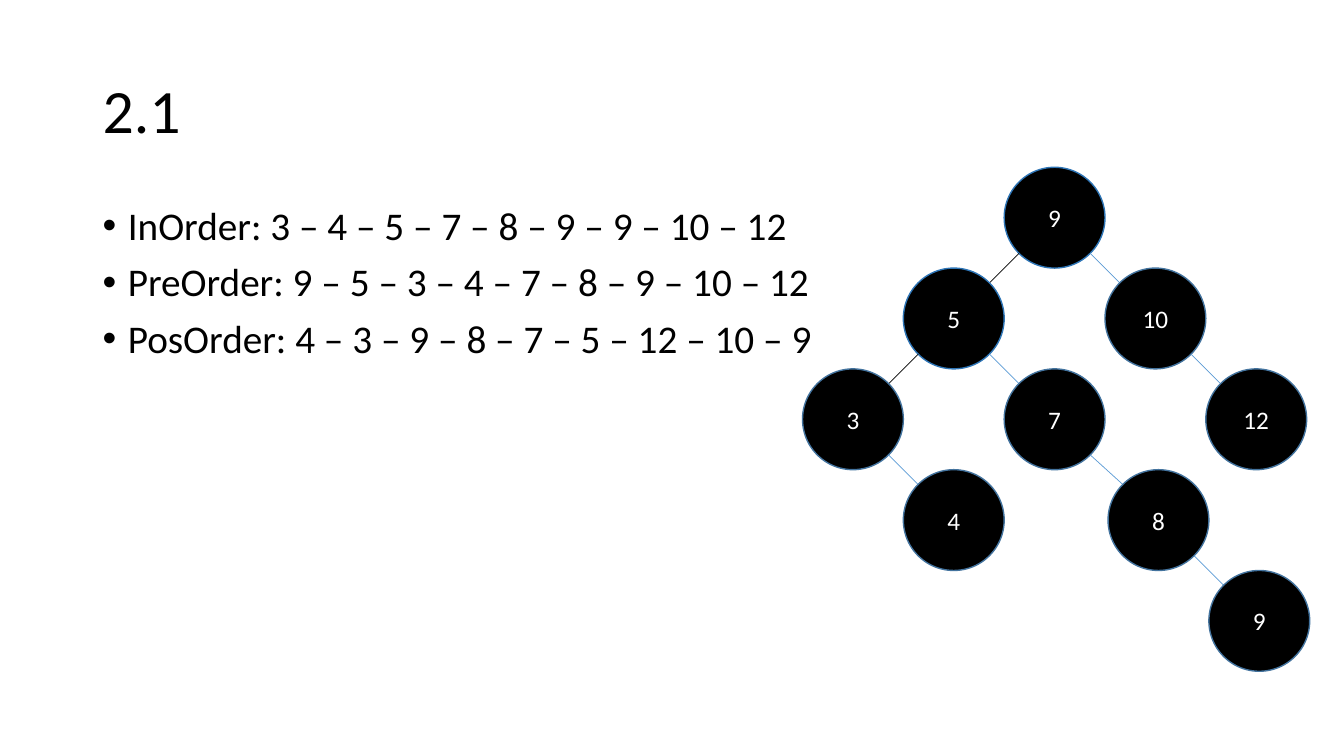
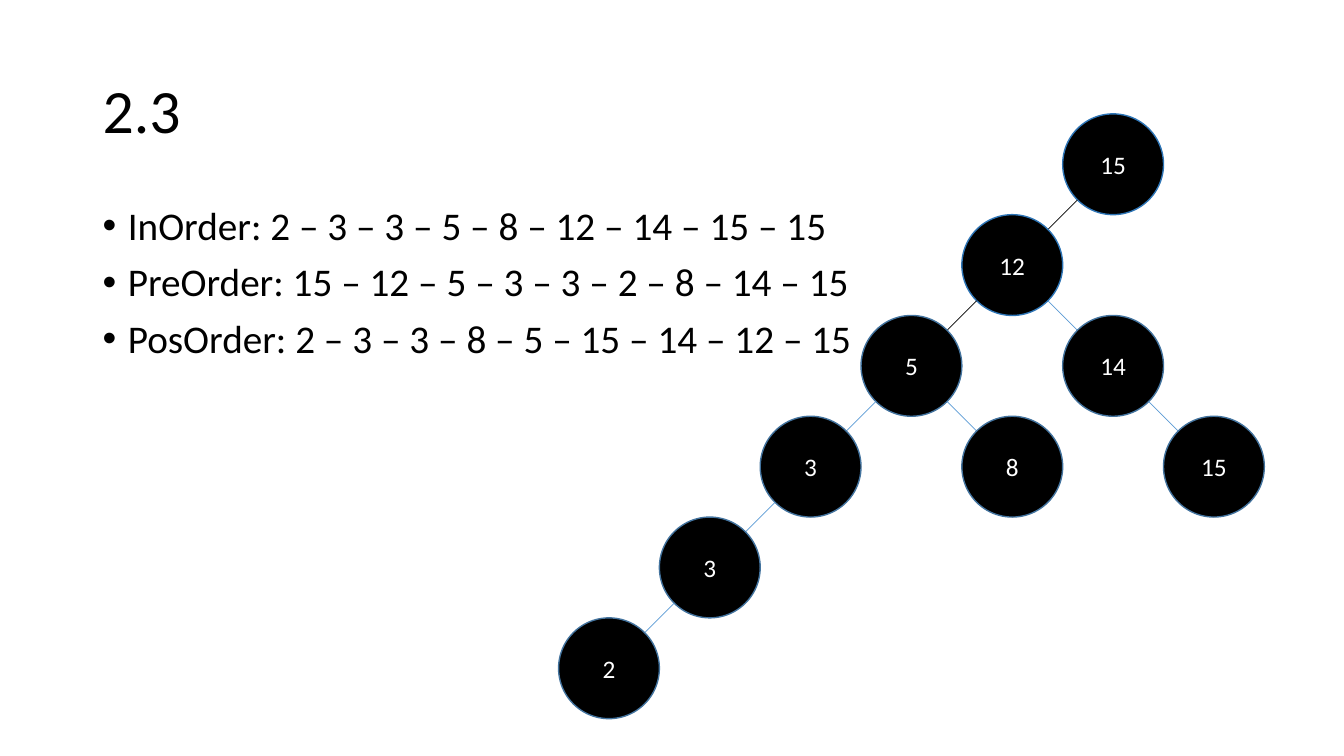
import dataclasses
import math
import typing

import pptx
import pptx.dml.color
import pptx.enum.shapes
import pptx.enum.text
import pptx.oxml.ns
import pptx.util
from lxml import etree

Inches = pptx.util.Inches
Pt = pptx.util.Pt
ALIGN = pptx.enum.text.PP_ALIGN
ANCHOR = pptx.enum.text.MSO_ANCHOR

COLORS = {
    "ink": "000000",
    "node_text": "FFFFFF",
    "spine_outline": "2E75B6",
    "outline": "43739E",
    "edge": "5B9BD5",
}
FONT = "Calibri"
TITLE_BOX = (0.92, 0.4, 11.5, 1.45)
BODY_BOX = (0.92, 2, 11.5, 4.76)
DIAMETER = 1
STEP = 1
SPINE_DEPTH = 2


@dataclasses.dataclass
class Node:
    """A tree node; shift moves its subtree to the right, in inches."""
    value: int
    left: typing.Optional["Node"] = None
    right: typing.Optional["Node"] = None
    shift: float = 0


def in_order(node):
    """List the values left, root, right."""
    return in_order(node.left) + [node.value] + in_order(node.right) if node else []


def pre_order(node):
    """List the values root, left, right."""
    return [node.value] + pre_order(node.left) + pre_order(node.right) if node else []


def pos_order(node):
    """List the values left, right, root."""
    return pos_order(node.left) + pos_order(node.right) + [node.value] if node else []


TRAVERSALS = {"InOrder": in_order, "PreOrder": pre_order, "PosOrder": pos_order}


def rgb(name):
    """Look up a colour by name."""
    return pptx.dml.color.RGBColor.from_string(COLORS[name])


def add_run(paragraph, text, size, color="ink"):
    """Append one styled run."""
    run = paragraph.add_run()
    run.text = text
    run.font.name = FONT
    run.font.size = Pt(size)
    run.font.color.rgb = rgb(color)


def add_text_frame(slide, box, anchor):
    """Add a wrapping text box and return its frame."""
    frame = slide.shapes.add_textbox(*map(Inches, box)).text_frame
    frame.word_wrap = True
    frame.vertical_anchor = anchor
    return frame


def add_title(slide, box, title):
    """Write the slide title, centred vertically in its box."""
    paragraph = add_text_frame(slide, box, ANCHOR.MIDDLE).paragraphs[0]
    paragraph.line_spacing = 0.9
    add_run(paragraph, title, 44)


def add_bullet(paragraph):
    """Give a paragraph a hanging round bullet."""
    properties = paragraph._p.get_or_add_pPr()
    properties.set("marL", str(Inches(0.25)))
    properties.set("indent", str(Inches(-0.25)))
    font = etree.SubElement(properties, pptx.oxml.ns.qn("a:buFont"))
    font.set("typeface", "Arial")
    bullet = etree.SubElement(properties, pptx.oxml.ns.qn("a:buChar"))
    bullet.set("char", "•")


def add_traversals(slide, box, root):
    """List the three traversals of the tree as bullets."""
    frame = add_text_frame(slide, box, ANCHOR.TOP)
    for index, (label, traverse) in enumerate(TRAVERSALS.items()):
        paragraph = frame.add_paragraph() if index else frame.paragraphs[0]
        paragraph.line_spacing = 0.9
        paragraph.space_before = Pt(10)
        add_bullet(paragraph)
        add_run(paragraph, f"{label}: " + " – ".join(map(str, traverse(root))), 28)


def add_edge(slide, parent, child, color):
    """Join the rims of two circles, given their top left corners."""
    reach = DIAMETER / 2 * math.sqrt(0.5)
    side = math.copysign(reach, child[0] - parent[0])
    center = DIAMETER / 2
    ends = (parent[0] + center + side, parent[1] + center + reach,
            child[0] + center - side, child[1] + center - reach)
    edge = slide.shapes.add_connector(
        pptx.enum.shapes.MSO_CONNECTOR.STRAIGHT, *map(Inches, ends))
    edge.line.color.rgb = rgb(color)
    edge.line.width = Pt(0.5)
    etree.SubElement(edge._element.spPr, pptx.oxml.ns.qn("a:effectLst"))


def add_circle(slide, corner, value, outline):
    """Draw one node with its value."""
    circle = slide.shapes.add_shape(
        pptx.enum.shapes.MSO_SHAPE.OVAL,
        *map(Inches, (*corner, DIAMETER, DIAMETER)))
    circle.shadow.inherit = False
    circle.fill.solid()
    circle.fill.fore_color.rgb = rgb("ink")
    circle.line.color.rgb = rgb(outline)
    circle.line.width = Pt(1)
    circle.text_frame.vertical_anchor = ANCHOR.MIDDLE
    paragraph = circle.text_frame.paragraphs[0]
    paragraph.alignment = ALIGN.CENTER
    add_run(paragraph, str(value), 18, "node_text")


def add_tree(slide, corner, node, depth=0, on_spine=True):
    """Draw a subtree; the top of the left spine has its own line colours."""
    accented = on_spine and depth < SPINE_DEPTH
    add_circle(slide, corner, node.value, "spine_outline" if accented else "outline")
    for child, side in ((node.left, -1), (node.right, 1)):
        if child:
            is_left = side < 0
            child_corner = (corner[0] + side * STEP + child.shift, corner[1] + STEP)
            add_edge(slide, corner, child_corner,
                     "ink" if accented and is_left else "edge")
            add_tree(slide, child_corner, child, depth + 1, on_spine and is_left)


def add_tree_slide(deck, title, root, root_corner):
    """Build a slide with a title, the traversals and the tree."""
    slide = deck.slides.add_slide(deck.slide_layouts[6])
    add_title(slide, TITLE_BOX, title)
    add_traversals(slide, BODY_BOX, root)
    add_tree(slide, root_corner, root)


def main():
    """Build and save the deck."""
    deck = pptx.Presentation()
    deck.slide_width = Inches(13.33)
    deck.slide_height = Inches(7.5)

    add_tree_slide(
        deck, "2.1",
        Node(9,
             Node(5,
                  Node(3, right=Node(4)),
                  Node(7, right=Node(8, right=Node(9), shift=0.03))),
             Node(10, right=Node(12))),
        (9.96, 1.66))
    add_tree_slide(
        deck, "2.3",
        Node(15,
             Node(12,
                  Node(5, Node(3, Node(3, Node(2))), Node(8)),
                  Node(14, right=Node(15)))),
        (10.54, 1.13))

    deck.save("out.pptx")


main()
